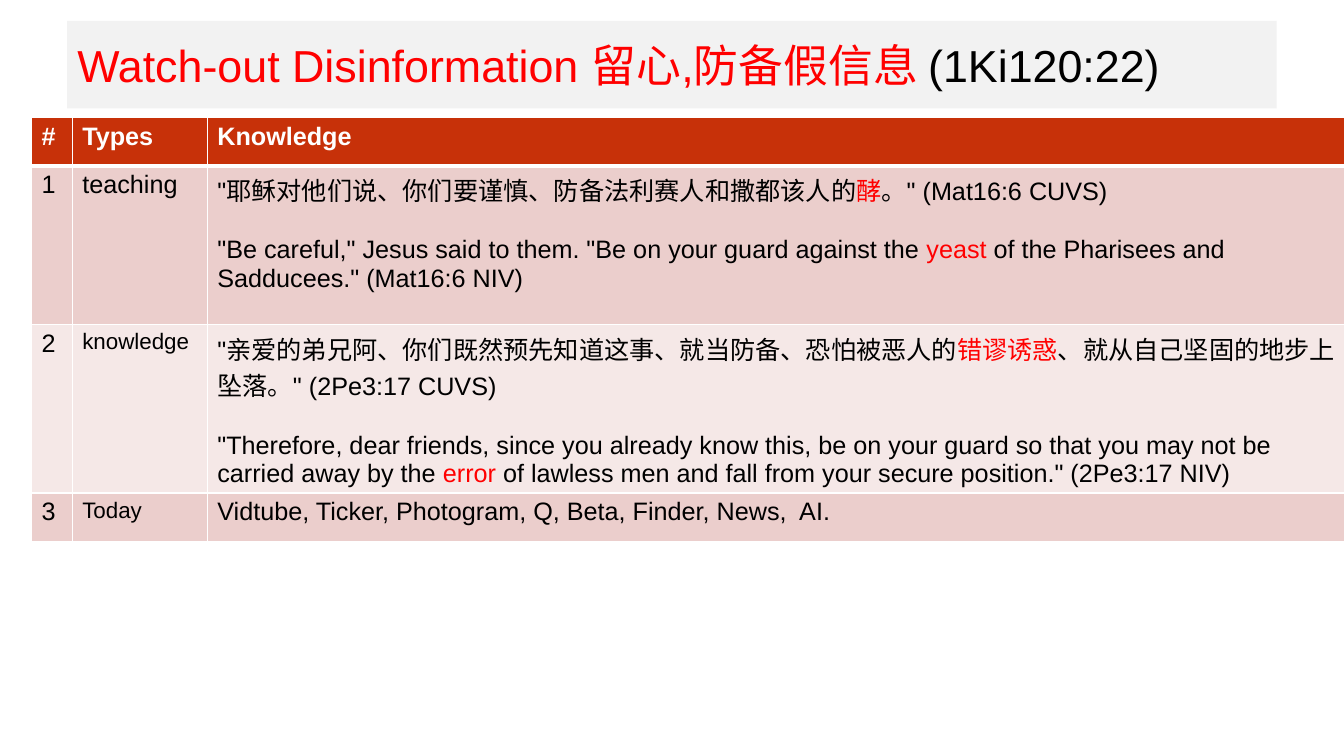
"""Build the slide on watching out for disinformation, with its table of verses."""
from lxml import etree
from pptx import Presentation
from pptx.dml.color import RGBColor
from pptx.enum import text
from pptx.oxml import ns
from pptx.util import Pt

COLORS = {
    "banner": "F2F2F2", "header": "C73109", "odd": "EBCECC", "even": "F5E8E7",
    "white": "FFFFFF", "black": "000000", "red": "FF0000",
}


def write_runs(paragraph, pieces, size, bold=False):
    for words, color in pieces:
        run = paragraph.add_run()
        run.text = words
        run.font.name = "Arial"
        run.font.size = Pt(size)
        run.font.bold = bold
        run.font.color.rgb = RGBColor.from_string(COLORS[color])


def add_border(cell, side, width):
    line = etree.SubElement(cell._tc.get_or_add_tcPr(), ns.qn(f"a:ln{side}"), w=str(Pt(width)))
    solid = etree.SubElement(line, ns.qn("a:solidFill"))
    etree.SubElement(solid, ns.qn("a:srgbClr"), val=COLORS["white"])


deck = Presentation()
deck.slide_width, deck.slide_height = Pt(960), Pt(540)
slide = deck.slides.add_slide(deck.slide_layouts[5])

title = slide.shapes.title
title.left, title.top, title.width, title.height = Pt(48), Pt(15), Pt(864), Pt(62.5)
title.fill.solid()
title.fill.fore_color.rgb = RGBColor.from_string(COLORS["banner"])
title.text_frame.auto_size = text.MSO_AUTO_SIZE.NONE
title.text_frame.vertical_anchor = text.MSO_ANCHOR.MIDDLE
heading = title.text_frame.paragraphs[0]
heading.alignment = text.PP_ALIGN.LEFT
write_runs(heading, [("Watch-out Disinformation 留心,防备假信息 ", "red"), ("(1Ki120:22)", "black")], 32)

teaching_verses = [
    [('"耶稣对他们说、你们要谨慎、防备法利赛人和撒都该人的', "black"), ("酵", "red"),
     ('。" (Mat16:6 CUVS)', "black")],
    [('"Be careful," Jesus said to them. "Be on your guard against the ', "black"),
     ("yeast", "red"), (' of the Pharisees and Sadducees." (Mat16:6 NIV)', "black")],
]
knowledge_verses = [
    [('"亲爱的弟兄阿、你们既然预先知道这事、就当防备、恐怕被恶人的', "black"),
     ("错谬诱惑", "red"), ('、就从自己坚固的地步上坠落。" (2Pe3:17 CUVS)', "black")],
    [('"Therefore, dear friends, since you already know this, be on your guard so that '
      "you may not be carried away by the ", "black"), ("error", "red"),
     (' of lawless men and fall from your secure position." (2Pe3:17 NIV)', "black")],
]
today_sources = [[("Vidtube, Ticker, Photogram, Q, Beta, Finder, News,  AI.", "black")]]

rows = [
    ("#", "Types", [[("Knowledge", "white")]], 18, "header", 34.5),
    ("1", "teaching", teaching_verses, 18, "odd", 113.5),
    ("2", "knowledge", knowledge_verses, 16, "even", 119.5),
    ("3", "Today", today_sources, 16, "odd", 34.5),
]
column_widths = [29, 96.5, 814.5]

verse_table = slide.shapes.add_table(
    len(rows), len(column_widths), Pt(22.6), Pt(84),
    Pt(sum(column_widths)), Pt(sum(row[-1] for row in rows))).table
for column, width in zip(verse_table.columns, column_widths):
    column.width = Pt(width)

for row_index, (number, kind, verses, kind_size, fill, height) in enumerate(rows):
    verse_table.rows[row_index].height = Pt(height)
    is_header = row_index == 0
    ink = "white" if is_header else "black"
    contents = [([[(number, ink)]], 18), ([[(kind, ink)]], kind_size), (verses, 18)]
    for cell, (paragraphs, size) in zip(verse_table.rows[row_index].cells, contents):
        for side in "LRTB":
            under_header = (row_index, side) in [(0, "B"), (1, "T")]
            add_border(cell, side, 3 if under_header else 1)
        cell.fill.solid()
        cell.fill.fore_color.rgb = RGBColor.from_string(COLORS[fill])
        for position, pieces in enumerate(paragraphs):
            if position == 0:
                paragraph = cell.text_frame.paragraphs[0]
            else:
                paragraph = cell.text_frame.add_paragraph()
                paragraph.space_before = Pt(20.5)
            write_runs(paragraph, pieces, size, is_header)

deck.save("out.pptx")
